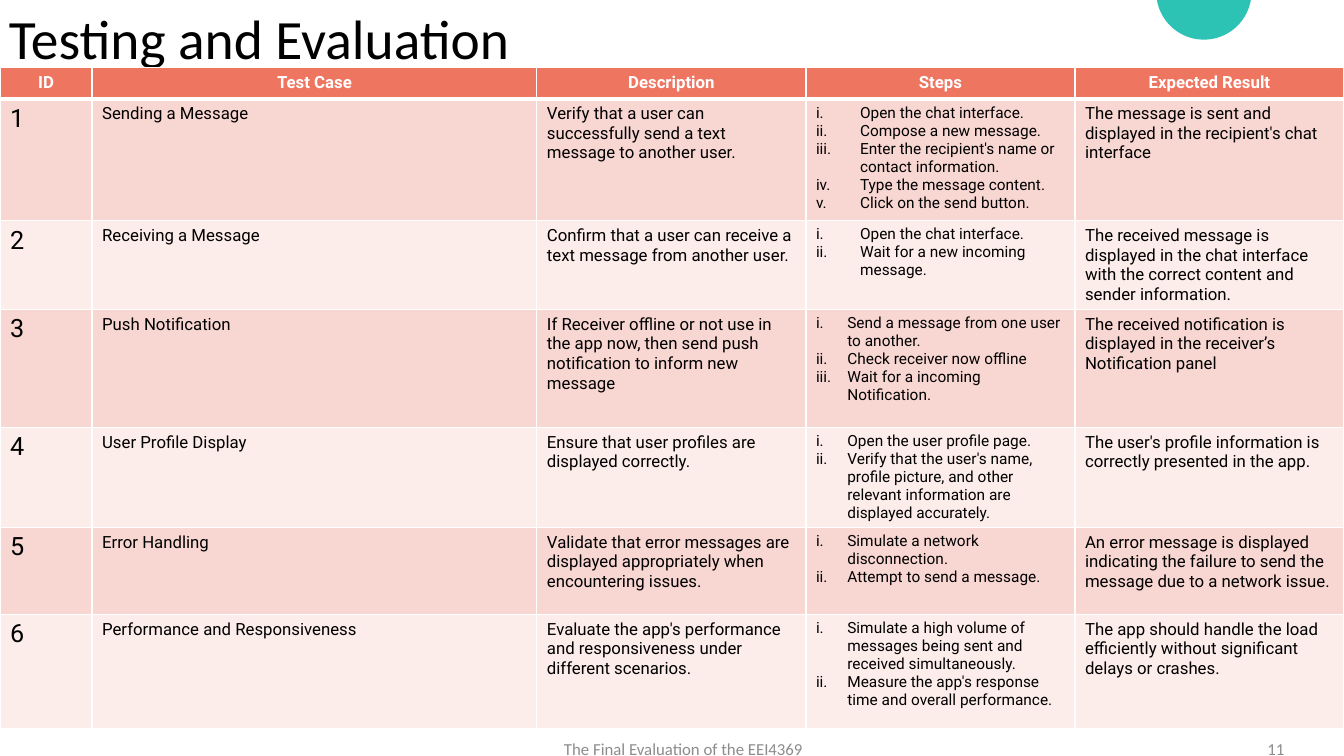
import math

import pptx
import pptx.dml.color
import pptx.enum.text
import pptx.util
from lxml import etree
from pptx.oxml.ns import qn
from pptx.util import Cm, Pt

COLOURS = {
    "text": "000000", "white": "FFFFFF", "muted": "8C8C8C", "teal": "2CC3B4",
    "header": "EE7661", "odd": "F8D6D2", "even": "FCECEA",
}
ALIGN = pptx.enum.text.PP_ALIGN
ANCHOR = pptx.enum.text.MSO_ANCHOR

# Text formats
TITLE = {"name": "Calibri", "size": Pt(39.6), "bold": False}
FOOTER = {"name": "Calibri", "size": Pt(12), "bold": False}
HEADING = {"name": "Roboto", "size": Pt(12), "bold": True}
NUMBER = {"name": "Roboto", "size": Pt(18), "bold": False}
BODY = {"name": "Roboto", "size": Pt(12), "bold": False}
STEP = {"name": "Roboto", "size": Pt(11), "bold": False}

# Table content
COLUMN_WIDTHS = [2.32, 11.21, 6.78, 6.78, 6.78]
ROW_HEIGHTS = [0.79, 3.07, 2.24, 2.97, 2.52, 2.19, 2.87]
HEADINGS = ["ID", "Test Case", "Description", "Steps", "Expected Result"]
WIDE_INDENT, NARROW_INDENT = 1.11, 0.79
TEST_CASES = [
    ("Sending a Message",
     "Verify that a user can successfully send a text message to another user.",
     ["Open the chat interface.", "Compose a new message.",
      "Enter the recipient's name or contact information.",
      "Type the message content.", "Click on the send button."],
     "The message is sent and displayed in the recipient's chat interface",
     WIDE_INDENT),
    ("Receiving a Message",
     "Confirm that a user can receive a text message from another user.",
     ["Open the chat interface.", "Wait for a new incoming message."],
     "The received message is displayed in the chat interface with the "
     "correct content and sender information.",
     WIDE_INDENT),
    ("Push Notification",
     "If Receiver offline or not use in the app now, then send push "
     "notification to inform new message",
     ["Send a message from one user to another.",
      "Check receiver now offline", "Wait for a incoming Notification."],
     "The received notification is displayed in the receiver’s Notification panel",
     NARROW_INDENT),
    ("User Profile Display",
     "Ensure that user profiles are displayed correctly.",
     ["Open the user profile page.",
      "Verify that the user's name, profile picture, and other relevant "
      "information are displayed accurately."],
     "The user's profile information is correctly presented in the app.",
     NARROW_INDENT),
    ("Error Handling",
     "Validate that error messages are displayed appropriately when "
     "encountering issues.",
     ["Simulate a network disconnection.", "Attempt to send a message."],
     "An error message is displayed indicating the failure to send the "
     "message due to a network issue.",
     NARROW_INDENT),
    ("Performance and Responsiveness",
     "Evaluate the app's performance and responsiveness under different scenarios.",
     ["Simulate a high volume of messages being sent and received simultaneously.",
      "Measure the app's response time and overall performance."],
     "The app should handle the load efficiently without significant delays or crashes.",
     NARROW_INDENT),
]


def colour(key):
    return pptx.dml.color.RGBColor.from_string(COLOURS[key])


def write_para(para, text, style, ink="text", align=ALIGN.LEFT):
    span = para.add_run()
    span.text = text
    para.alignment = align
    for name, value in style.items():
        setattr(span.font, name, value)
    span.font.color.rgb = colour(ink)


def number_para(para, indent):
    props = para._p.get_or_add_pPr()
    props.set("marL", str(Cm(indent)))
    props.set("indent", str(-Cm(indent)))
    etree.SubElement(props, qn("a:buFont"), typeface="+mj-lt")
    etree.SubElement(props, qn("a:buAutoNum"), type="romanLcPeriod")


def format_cell(cell, fill, widths):
    props = cell._tc.get_or_add_tcPr()
    for side, width in widths.items():
        line = etree.SubElement(props, qn(f"a:ln{side}"), w=str(Pt(width)))
        paint = etree.SubElement(line, qn("a:solidFill"))
        etree.SubElement(paint, qn("a:srgbClr"), val=COLOURS["white"])
    cell.fill.solid()
    cell.fill.fore_color.rgb = colour(fill)


def add_half_disc(page):
    centre_x, centre_y, radius = 30.34, -0.2, 1.2
    start = math.asin(-centre_y / radius)
    steps = 60
    angles = [start + (math.pi - 2 * start) * i / steps for i in range(steps + 1)]
    points = [(Cm(centre_x + radius * math.cos(angle)),
               Cm(centre_y + radius * math.sin(angle))) for angle in angles]
    builder = page.shapes.build_freeform(*points[0])
    builder.add_line_segments(points[1:], close=True)
    disc = builder.convert_to_shape()
    disc.shadow.inherit = False
    disc.fill.solid()
    disc.fill.fore_color.rgb = colour("teal")
    disc.line.fill.background()


def add_title(page, text):
    box = page.shapes.title
    place = {"left": Cm(-0.03), "top": Cm(0.38), "width": Cm(29.21), "height": Cm(1.32)}
    for name, value in place.items():
        setattr(box, name, value)
    frame = box.text_frame
    frame.auto_size = pptx.enum.text.MSO_AUTO_SIZE.NONE
    frame.vertical_anchor = ANCHOR.MIDDLE
    write_para(frame.paragraphs[0], text, TITLE)
    frame.paragraphs[0].line_spacing = 0.9


def add_footer(page, text, left, width, align):
    box = page.shapes.add_textbox(Cm(left), Cm(18.62), Cm(width), Cm(0.48))
    frame = box.text_frame
    frame.word_wrap = True
    frame.margin_top = frame.margin_bottom = 0
    frame.vertical_anchor = ANCHOR.MIDDLE
    write_para(frame.paragraphs[0], text, FOOTER, "muted", align)


def add_test_table(page):
    table = page.shapes.add_table(
        len(ROW_HEIGHTS), len(COLUMN_WIDTHS), 0, Cm(1.7),
        Cm(sum(COLUMN_WIDTHS)), Cm(sum(ROW_HEIGHTS))).table
    for column, width in zip(table.columns, COLUMN_WIDTHS):
        column.width = Cm(width)
    for row, height in zip(table.rows, ROW_HEIGHTS):
        row.height = Cm(height)

    # Header row
    for cell, heading in zip(table.rows[0].cells, HEADINGS):
        format_cell(cell, "header", {"L": 1, "R": 1, "T": 1, "B": 3})
        cell.vertical_anchor = ANCHOR.MIDDLE
        write_para(cell.text_frame.paragraphs[0], heading, HEADING, "white", ALIGN.CENTER)

    # One row for each test case
    for number, (case, description, steps, result, indent) in enumerate(TEST_CASES, 1):
        cells = list(table.rows[number].cells)
        for cell in cells:
            format_cell(cell, "odd" if number % 2 else "even",
                        {"L": 1, "R": 1, "T": 3 if number == 1 else 1, "B": 1})
        texts = {0: str(number), 1: case, 2: description, 4: result}
        for index, text in texts.items():
            style = BODY if index else NUMBER
            write_para(cells[index].text_frame.paragraphs[0], text, style)
        frame = cells[3].text_frame
        for index, step in enumerate(steps):
            para = frame.add_paragraph() if index else frame.paragraphs[0]
            number_para(para, indent)
            write_para(para, step, STEP)


def main():
    deck = pptx.Presentation()
    deck.slide_width, deck.slide_height = Cm(33.87), Cm(19.05)
    page = deck.slides.add_slide(deck.slide_layouts[5])
    add_half_disc(page)
    add_title(page, "Testing and Evaluation")
    add_test_table(page)
    add_footer(page, "The Final Evaluation of the EEI4369", 11.51, 11.43, ALIGN.CENTER)
    add_footer(page, "11", 25.76, 6.86, ALIGN.RIGHT)
    deck.save("out.pptx")


if __name__ == "__main__":
    main()
